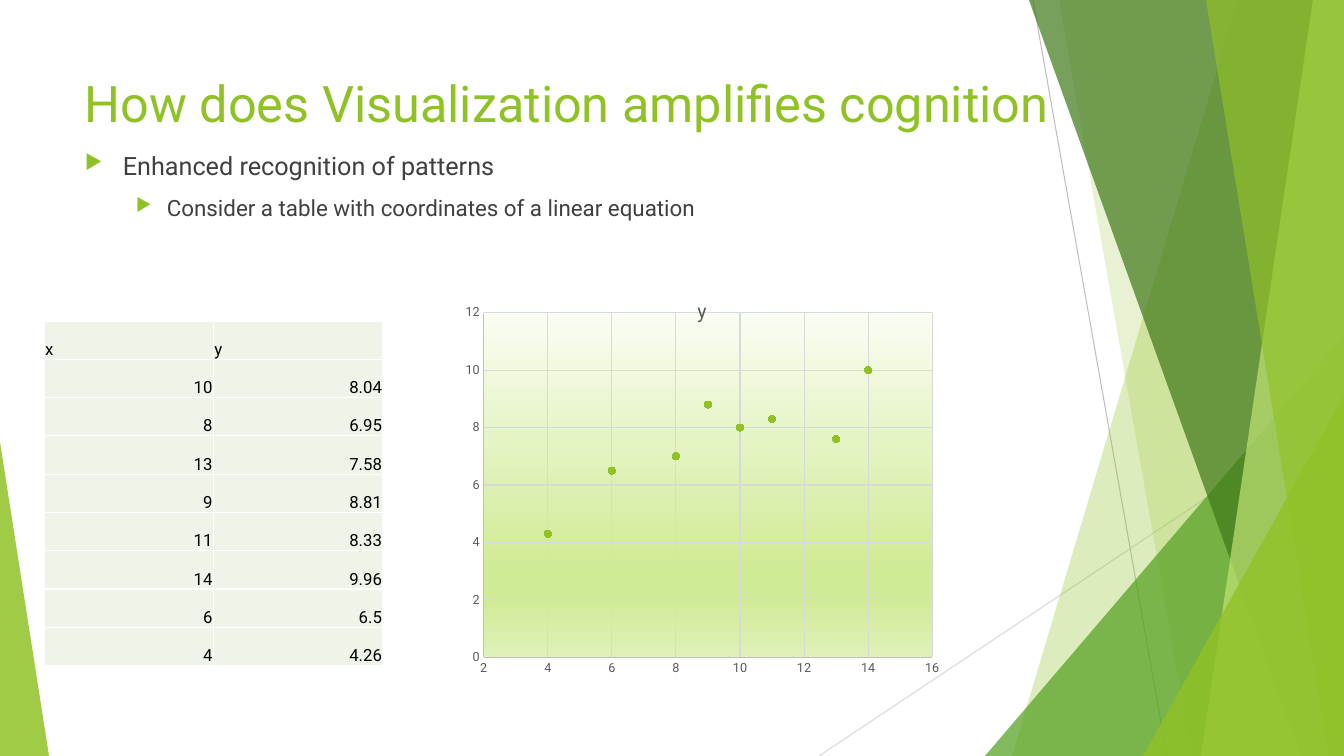
from lxml import etree
from pptx import Presentation
from pptx.chart.data import XyChartData
from pptx.dml.color import RGBColor
from pptx.enum.chart import XL_CHART_TYPE, XL_MARKER_STYLE, XL_TICK_MARK
from pptx.enum.shapes import MSO_CONNECTOR, MSO_SHAPE
from pptx.enum.text import MSO_ANCHOR, PP_ALIGN
from pptx.oxml import parse_xml
from pptx.oxml.ns import nsdecls, qn
from pptx.util import Emu, Pt

SCATTER = XL_CHART_TYPE.XY_SCATTER
CIRCLE = XL_MARKER_STYLE.CIRCLE
NO_TICK = XL_TICK_MARK.NONE
STRAIGHT = MSO_CONNECTOR.STRAIGHT
TRIANGLE = MSO_SHAPE.ISOSCELES_TRIANGLE
BOTTOM = MSO_ANCHOR.BOTTOM
LEFT, RIGHT = PP_ALIGN.LEFT, PP_ALIGN.RIGHT

FONT = "Roboto"
GREEN, GREY, LIGHT_GREY, MID_GREY = "90C226", "595959", "D9D9D9", "BFBFBF"
POINTS = [(10, 8.04), (8, 6.95), (13, 7.58), (9, 8.81),
          (11, 8.33), (14, 9.96), (6, 6.5), (4, 4.26)]
PLOT_STOPS = [(0, "FAFDF3"), (74, "D0EB96"), (83, "D0EB96"), (100, "DFF1B9")]
PLOT_LAYOUT = {"x": 0.067, "y": 0.08, "w": 0.89, "h": 0.843}


def px(length):
    """Turn slide pixels into EMU."""
    return Emu(round(length * 12192000 / 1344))


def colour(code):
    """Turn a hex string into a colour."""
    return RGBColor.from_string(code)


def style_font(font, size, code):
    """Set the typeface, size and colour of a font."""
    font.name, font.size = FONT, Pt(size)
    font.color.rgb = colour(code)


def style_line(line, code, width=0.75):
    """Set the colour and width of a line."""
    line.color.rgb = colour(code)
    line.width = Pt(width)


def paint(shape, code, opacity):
    """Fill a shape with a translucent colour and no outline."""
    shape.shadow.inherit = False
    shape.fill.solid()
    shape.fill.fore_color.rgb = colour(code)
    shape.line.fill.background()
    tint = shape._element.spPr.find(".//" + qn("a:srgbClr"))
    etree.SubElement(tint, qn("a:alpha"), val=str(opacity * 1000))


def add_ray(page, start, end, code):
    """Draw a thin decorative line."""
    ray = page.shapes.add_connector(STRAIGHT, *map(px, start + end))
    style_line(ray.line, code)
    etree.SubElement(ray._element.spPr, qn("a:effectLst"))


def add_facet(page, box, top_x, bottom_x, code, opacity):
    """Draw a full-height panel from a slanted edge to the right of the box."""
    left, top, width, height = box
    right, bottom = left + width, top + height
    outline = page.shapes.build_freeform(px(left + top_x), px(top), scale=1.0)
    corners = [(right, top), (right, bottom), (left + bottom_x, bottom)]
    outline.add_line_segments([(px(x), px(y)) for x, y in corners], close=True)
    paint(outline.convert_to_shape(), code, opacity)


def add_wedge(page, box, apex, code, opacity):
    """Draw a right-angled triangle with its apex at 0 (left) or 1 (right)."""
    wedge = page.shapes.add_shape(TRIANGLE, *map(px, box))
    wedge.adjustments[0] = apex
    paint(wedge, code, opacity)


def add_backdrop(page, box):
    """Draw the green facets at both edges of the slide."""
    left, top, width, height = box
    right, bottom = left + width, top + height
    add_ray(page, (left + 1033, top), (left + 1167, bottom), MID_GREY)
    add_ray(page, (right, top + 406), (left + 819, bottom), LIGHT_GREY)
    add_facet(page, box, 1238, 1012, GREEN, 30)
    add_facet(page, box, 1059, 1192, GREEN, 20)
    add_wedge(page, (right - 359, bottom - 420, 359, 420), 1, "54A021", 72)
    add_facet(page, box, 1029, 1301, "3F7819", 70)
    add_facet(page, box, 1313, 1201, "C0E474", 70)
    add_facet(page, box, 1206, 1329, GREEN, 65)
    add_wedge(page, (right - 201, bottom - 360, 201, 360), 1, GREEN, 80)
    add_wedge(page, (left, bottom - 314, 49, 314), 0, GREEN, 85)


def add_title(page, box):
    """Write the slide title."""
    frame = page.shapes.add_textbox(*map(px, box)).text_frame
    frame.word_wrap = True
    frame.text = "How does Visualization amplifies cognition"
    style_font(frame.paragraphs[0].runs[0].font, 36, GREEN)


def add_bullets(page, box):
    """Write the bulleted statement and its sub-point."""
    items = [("Enhanced recognition of patterns", 18, 38, 38),
             ("Consider a table with coordinates of a linear equation", 16, 82, 31)]
    frame = page.shapes.add_textbox(*map(px, box)).text_frame
    frame.word_wrap = True
    frame.text = "\n".join(item[0] for item in items)
    for level, (para, item) in enumerate(zip(frame.paragraphs, items)):
        words, size, margin, hanging = item
        para.level = level
        if level:
            para.space_before = Pt(10)
        properties = para._p.get_or_add_pPr()
        properties.set("marL", str(px(margin)))
        properties.set("indent", str(-px(hanging)))
        bullet_colour = etree.SubElement(properties, qn("a:buClr"))
        etree.SubElement(bullet_colour, qn("a:srgbClr"), val=GREEN)
        etree.SubElement(properties, qn("a:buSzPct"), val="80000")
        etree.SubElement(properties, qn("a:buFont"), typeface="OpenSymbol")
        etree.SubElement(properties, qn("a:buChar"), char="▶")
        style_font(para.runs[0].font, size, "404040")


def style_cell(cell, text, align):
    """Fill one table cell and give it white borders."""
    cell.margin_left = cell.margin_right = cell.margin_top = px(1)
    cell.margin_bottom = 0
    cell.vertical_anchor = BOTTOM
    for side in "LRTB":
        cell._tc.tcPr.append(parse_xml(
            f'<a:ln{side} {nsdecls("a")} w="12700"><a:solidFill>'
            f'<a:srgbClr val="FFFFFF"/></a:solidFill></a:ln{side}>'))
    cell.fill.solid()
    cell.fill.fore_color.rgb = colour("EEF4E8")
    cell.text = text
    para = cell.text_frame.paragraphs[0]
    para.alignment = align
    style_font(para.runs[0].font, 12, "000000")


def add_coordinates(page, box):
    """Draw the table of coordinates."""
    rows = [("x", "y")] + POINTS
    table = page.shapes.add_table(len(rows), 2, *map(px, box)).table
    table.first_row = table.horz_banding = False
    for row_index, row in enumerate(rows):
        for column_index, value in enumerate(row):
            style_cell(table.cell(row_index, column_index), str(value),
                       RIGHT if row_index else LEFT)


def style_axis(axis, low, high):
    """Set the range, grid and labels of an axis."""
    axis.minimum_scale, axis.maximum_scale, axis.major_unit = low, high, 2
    axis.major_tick_mark = axis.minor_tick_mark = NO_TICK
    axis.has_major_gridlines = True
    style_line(axis.major_gridlines.format.line, LIGHT_GREY)
    style_line(axis.format.line, MID_GREY)
    axis.tick_labels.number_format = "General"
    axis.tick_labels.number_format_is_linked = False
    style_font(axis.tick_labels.font, 9, GREY)


def style_plot_area(chart):
    """Place the plot area and fill it with a vertical gradient."""
    area = chart._chartSpace.chart.plotArea
    for old in area.findall(qn("c:layout")):
        area.remove(old)
    places = "".join(f'<c:{key} val="{value}"/>' for key, value in PLOT_LAYOUT.items())
    area.insert(0, parse_xml(
        f'<c:layout {nsdecls("c")}><c:manualLayout><c:layoutTarget val="inner"/>'
        f'<c:xMode val="edge"/><c:yMode val="edge"/>{places}</c:manualLayout></c:layout>'))
    stops = "".join(f'<a:gs pos="{place * 1000}"><a:srgbClr val="{code}"/></a:gs>'
                    for place, code in PLOT_STOPS)
    area.append(parse_xml(
        f'<c:spPr {nsdecls("c", "a")}><a:gradFill><a:gsLst>{stops}</a:gsLst>'
        f'<a:lin ang="5400000" scaled="0"/></a:gradFill></c:spPr>'))


def add_scatter(page, box):
    """Draw the scatter chart of the coordinates."""
    data = XyChartData()
    dots = data.add_series("y")
    for x, y in POINTS:
        dots.add_data_point(x, round(y, 1))
    chart = page.shapes.add_chart(SCATTER, *map(px, box), data).chart
    style_font(chart.font, 10, "000000")
    chart.has_legend = False
    chart.has_title = True
    chart.chart_title.text_frame.text = "y"
    title_font = chart.chart_title.text_frame.paragraphs[0].runs[0].font
    style_font(title_font, 14, GREY)
    title_font.bold = False
    style_axis(chart.category_axis, 2, 16)
    style_axis(chart.value_axis, 0, 12)
    chart.plots[0].vary_by_categories = False
    series = chart.plots[0].series[0]
    series.smooth = False
    series.format.line.fill.background()
    series.marker.style, series.marker.size = CIRCLE, 5
    series.marker.format.fill.solid()
    series.marker.format.fill.fore_color.rgb = colour(GREEN)
    style_line(series.marker.format.line, GREEN)
    style_plot_area(chart)


def main():
    """Build the slide and save the deck."""
    deck = Presentation()
    deck.slide_width, deck.slide_height = px(1344), px(756)
    page = deck.slides.add_slide(deck.slide_layouts[6])
    add_backdrop(page, (0, 0, 1344, 756))
    add_title(page, (75, 67, 1050, 145))
    add_bullets(page, (75, 145, 948, 521))
    add_coordinates(page, (44, 321, 339, 345))
    add_scatter(page, (450, 280, 504, 409))
    deck.save("out.pptx")


if __name__ == "__main__":
    main()
